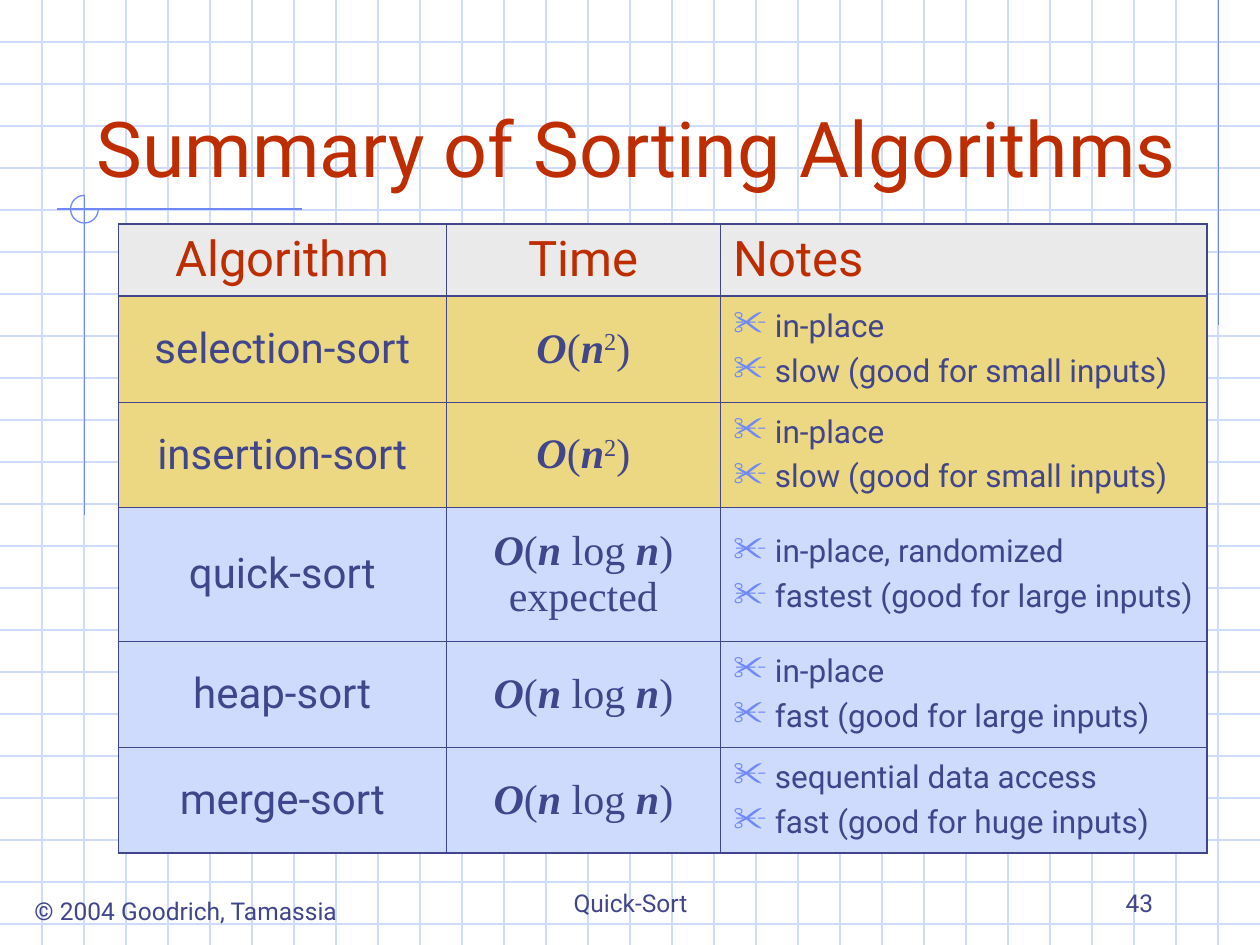
from pptx import Presentation
from pptx.dml.color import RGBColor
from pptx.enum.shapes import MSO_CONNECTOR, MSO_SHAPE
from pptx.enum.text import MSO_ANCHOR, PP_ALIGN
from pptx.oxml.ns import qn
from pptx.util import Inches, Pt
from lxml import etree

STRAIGHT = MSO_CONNECTOR.STRAIGHT
ARC = MSO_SHAPE.ARC
TOP, MIDDLE, BOTTOM = MSO_ANCHOR.TOP, MSO_ANCHOR.MIDDLE, MSO_ANCHOR.BOTTOM
LEFT, CENTER, RIGHT = PP_ALIGN.LEFT, PP_ALIGN.CENTER, PP_ALIGN.RIGHT

NAVY = RGBColor(0x40, 0x45, 0x8C)
RUST = RGBColor(0xBE, 0x2D, 0x00)
BLUE = RGBColor(0x6F, 0x89, 0xF7)
PALE_BLUE = RGBColor(0xCF, 0xDB, 0xFD)
GOLD = RGBColor(0xEC, 0xD8, 0x82)
GRAY = RGBColor(0xEA, 0xEA, 0xEA)

SANS, SERIF = "Roboto", "Times New Roman"
WIDTH, HEIGHT = 10, 7.5
COLUMN_WIDTHS = (2.6, 2.18, 3.86)
ROW_HEIGHTS = (0.57, 0.84, 0.84, 1.06, 0.84, 0.84)
THIN, THICK = Pt(0.45), Pt(1.08)

HEADINGS = (("Algorithm", CENTER), ("Time", CENTER), ("Notes", LEFT))
QUADRATIC = ("O", "(", "n", "2", ")")
LINEARITHMIC = ("O", "(", "n", " log ", "n", ")")
SORTS = (
    ("selection-sort", QUADRATIC, ("in-place", "slow (good for small inputs)"), GOLD),
    ("insertion-sort", QUADRATIC, ("in-place", "slow (good for small inputs)"), GOLD),
    ("quick-sort", LINEARITHMIC + ("\n", "expected"),
     ("in-place, randomized", "fastest (good for large inputs)"), PALE_BLUE),
    ("heap-sort", LINEARITHMIC, ("in-place", "fast (good for large inputs)"), PALE_BLUE),
    ("merge-sort", LINEARITHMIC,
     ("sequential data access", "fast (good for huge inputs)"), PALE_BLUE),
)


def style_font(font, size, color, name=SANS):
    """Set the size, colour and typeface of a font."""
    font.size, font.name = Pt(size), name
    font.color.rgb = color


def add_line(page, start, end, color):
    """Draw a straight line between two points given in inches."""
    line = page.shapes.add_connector(STRAIGHT, *map(Inches, start + end))
    line.line.color.rgb = color
    line.line.width = Pt(0.75)
    etree.SubElement(line._element.spPr, qn("a:effectLst"))


def add_text(page, box, text, size, color, align, anchor, wrap=True):
    """Place one line of text in a box."""
    frame = page.shapes.add_textbox(*map(Inches, box)).text_frame
    frame.word_wrap = wrap
    frame.vertical_anchor = anchor
    frame.text = text
    para = frame.paragraphs[0]
    para.alignment = align
    style_font(para.runs[0].font, size, color)


def add_grid(page, width, height, step):
    """Cover the page with evenly spaced pale lines."""
    for index in range(1, int(height / step) + 1):
        add_line(page, (0, index * step), (width, index * step), PALE_BLUE)
    for index in range(1, round(width / step)):
        add_line(page, (index * step, 0), (index * step, height), PALE_BLUE)


def add_ornament(page, center_x, center_y, radius):
    """Draw the accent lines and the open circle at their crossing."""
    add_line(page, (9.67, 0), (9.67, 2.58), BLUE)
    add_line(page, (2.4, center_y), (0.45, center_y), BLUE)
    add_line(page, (center_x, center_y - radius), (center_x, 4.09), BLUE)
    box = (center_x - radius, center_y - radius, 2 * radius, 2 * radius)
    circle = page.shapes.add_shape(ARC, *map(Inches, box))
    circle.adjustments[0], circle.adjustments[1] = 0, 162
    circle.shadow.inherit = False
    circle.fill.background()
    circle.line.color.rgb = BLUE
    circle.line.width = Pt(0.75)


def add_border(cell, side, width):
    """Give one side of a cell a solid border."""
    border = etree.SubElement(cell._tc.get_or_add_tcPr(), qn(f"a:ln{side}"), w=str(width))
    fill = etree.SubElement(border, qn("a:solidFill"))
    etree.SubElement(fill, qn("a:srgbClr"), val=str(NAVY))


def style_cell(cell, row, column, color):
    """Set the borders, fill and anchor of a cell."""
    last_row, last_column = len(ROW_HEIGHTS) - 1, len(COLUMN_WIDTHS) - 1
    thick_sides = {
        "L": column == 0,
        "R": column == last_column,
        "T": row <= 1,
        "B": row in (0, last_row),
    }
    for side, is_thick in thick_sides.items():
        add_border(cell, side, THICK if is_thick else THIN)
    cell.fill.solid()
    cell.fill.fore_color.rgb = color
    cell.vertical_anchor = MIDDLE


def fill_label(cell, text, size, color, align):
    """Write a heading or an algorithm name."""
    cell.text = text
    para = cell.text_frame.paragraphs[0]
    para.alignment = align
    style_font(para.runs[0].font, size, color)


def fill_formula(cell, parts):
    """Write a running time with bold italic symbols and raised powers."""
    para = cell.text_frame.paragraphs[0]
    para.alignment = CENTER
    for part in parts:
        if part == "\n":
            para.add_line_break()
            continue
        span = para.add_run()
        span.text = part
        style_font(span.font, 24, NAVY, SERIF)
        span.font.bold = span.font.italic = part in ("O", "n")
        if part == "2":
            span._r.get_or_add_rPr().set("baseline", "30000")


def add_bullet(para):
    """Give a paragraph a hanging scissors bullet."""
    properties = para._p.get_or_add_pPr()
    properties.set("marL", str(Inches(0.33)))
    properties.set("indent", str(-Inches(0.33)))
    color = etree.SubElement(properties, qn("a:buClr"))
    etree.SubElement(color, qn("a:srgbClr"), val=str(BLUE))
    etree.SubElement(properties, qn("a:buSzPct"), val="110000")
    etree.SubElement(properties, qn("a:buChar"), char="✂")


def fill_notes(cell, notes):
    """Write the bulleted notes of one algorithm."""
    frame = cell.text_frame
    for index, note in enumerate(notes):
        para = frame.add_paragraph() if index else frame.paragraphs[0]
        para.text = note
        if index:
            para.space_before = Pt(4.5)
        add_bullet(para)
        style_font(para.runs[0].font, 18, NAVY)


def add_summary_table(page, left, top):
    """Build the table that compares the sorting algorithms."""
    box = (left, top, sum(COLUMN_WIDTHS), sum(ROW_HEIGHTS))
    table = page.shapes.add_table(
        len(ROW_HEIGHTS), len(COLUMN_WIDTHS), *map(Inches, box)).table
    table.first_row = table.horz_banding = False
    for column, width in zip(table.columns, COLUMN_WIDTHS):
        column.width = Inches(width)
    for row, height in zip(table.rows, ROW_HEIGHTS):
        row.height = Inches(height)
    for column, (heading, align) in enumerate(HEADINGS):
        fill_label(table.cell(0, column), heading, 28, RUST, align)
        style_cell(table.cell(0, column), 0, column, GRAY)
    for row, (name, formula, notes, color) in enumerate(SORTS, 1):
        fill_label(table.cell(row, 0), name, 24, NAVY, CENTER)
        fill_formula(table.cell(row, 1), formula)
        fill_notes(table.cell(row, 2), notes)
        for column in range(len(COLUMN_WIDTHS)):
            style_cell(table.cell(row, column), row, column, color)


def add_footer(page):
    """Place the copyright line, the topic and the page number."""
    add_text(page, (0.12, 7.06, 2.71, 0.34), "© 2004 Goodrich, Tamassia",
             14, NAVY, CENTER, TOP, wrap=False)
    add_text(page, (3.42, 6.83, 3.17, 0.5), "Quick-Sort", 14, NAVY, CENTER, BOTTOM)
    add_text(page, (7.17, 6.83, 2.08, 0.5), "43", 14, NAVY, RIGHT, BOTTOM)


def main():
    """Build and save the deck."""
    deck = Presentation()
    deck.slide_width, deck.slide_height = Inches(WIDTH), Inches(HEIGHT)
    page = deck.slides.add_slide(deck.slide_layouts[6])
    add_grid(page, WIDTH, HEIGHT, 1 / 3)
    add_ornament(page, 0.67, 1.66, 0.11)
    add_footer(page)
    add_text(page, (0.67, 0.33, 8.83, 1.25), "Summary of Sorting Algorithms",
             44, RUST, LEFT, BOTTOM)
    add_summary_table(page, 0.94, 1.78)
    deck.save("out.pptx")


if __name__ == "__main__":
    main()
